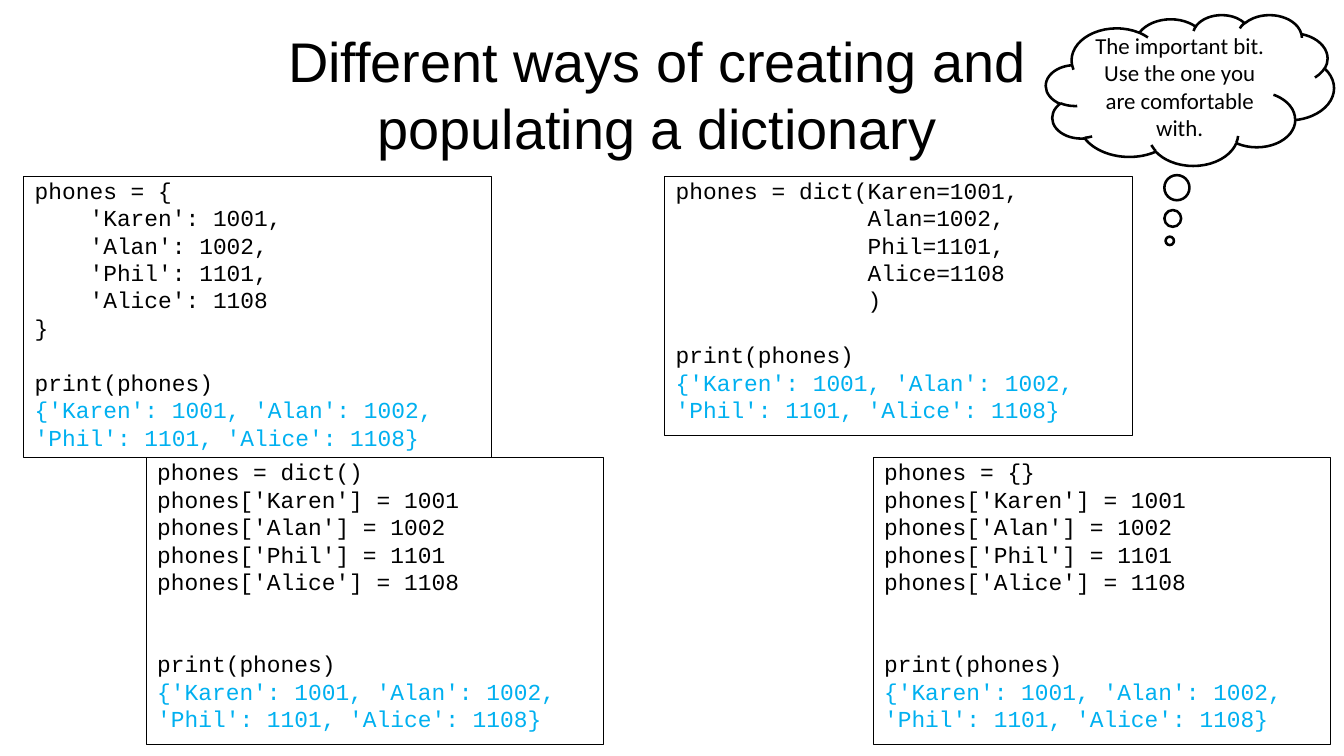
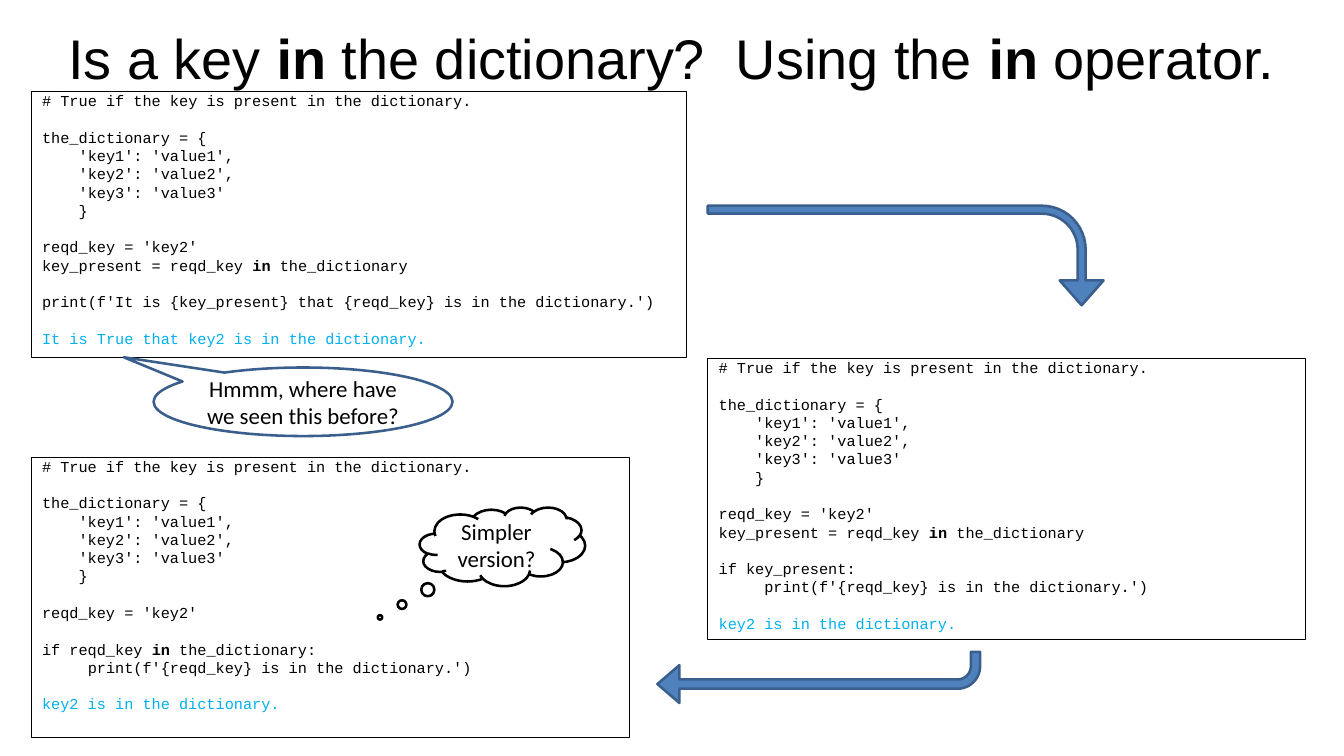
from lxml import etree
from pptx import Presentation
from pptx.dml.color import RGBColor
from pptx.enum.shapes import MSO_SHAPE
from pptx.enum.text import MSO_ANCHOR, MSO_AUTO_SIZE, PP_ALIGN
from pptx.oxml.ns import qn
from pptx.util import Inches, Pt

RECTANGLE = MSO_SHAPE.RECTANGLE
CLOUD = MSO_SHAPE.CLOUD_CALLOUT
SPEECH = MSO_SHAPE.OVAL_CALLOUT
BENT_ARROW = MSO_SHAPE.BENT_ARROW
TOP, MIDDLE = MSO_ANCHOR.TOP, MSO_ANCHOR.MIDDLE
LEFT, CENTER = PP_ALIGN.LEFT, PP_ALIGN.CENTER
NO_AUTOFIT = MSO_AUTO_SIZE.NONE

COLORS = {"text": "000000", "output": "00B0F0", "arrow": "4F81BD", "edge": "3A5F8C"}
PAGE = (0, 0, 14.7, 8.27)
LINE_PITCH = 1.2
BOLD_MARK = "**"

TITLE_FONT = {"name": "Arial", "size": Pt(44)}
CALLOUT_FONT = {"name": "Calibri", "size": Pt(18)}
CODE_NAME = "Courier New"

TITLE_FRAME = {"margin_left": 0, "margin_right": 0, "margin_top": 0, "margin_bottom": 0,
               "word_wrap": True, "auto_size": NO_AUTOFIT, "vertical_anchor": MIDDLE}
CODE_FRAME = {**TITLE_FRAME, "margin_left": Inches(0.12), "vertical_anchor": TOP}
CALLOUT_FRAME = {"word_wrap": True, "vertical_anchor": MIDDLE}

PHONES_OUTPUT = "{'Karen': 1001, 'Alan': 1002, 'Phil': 1101, 'Alice': 1108}"
PHONES_PRINT = ["", "print(phones)"]
PHONES_ASSIGNMENTS = ["phones['Karen'] = 1001", "phones['Alan'] = 1002",
                      "phones['Phil'] = 1101", "phones['Alice'] = 1108",
                      "", *PHONES_PRINT]
KEY_LOOKUP = ["# True if the key is present in the dictionary.", "",
              "the_dictionary = {",
              *[f"    'key{number}': 'value{number}'{comma}"
                for number, comma in ((1, ","), (2, ","), (3, ""))],
              "    }", "", "reqd_key = 'key2'"]
KEY_PRESENT = ["key_present = reqd_key **in **the_dictionary", ""]
KEY_PRINT = ["\tprint(f'{reqd_key} is in the dictionary.')", ""]
KEY_OUTPUT = "key2 is in the dictionary."


def apply(target, values):
    for name, value in values.items():
        setattr(target, name, value)


def place(shape, area, box):
    left, top, width, height = box
    apply(shape, {"left": Inches(area[0] + left), "top": Inches(area[1] + top),
                  "width": Inches(width), "height": Inches(height)})


def set_outline(shape, color, width):
    shape.line.color.rgb = RGBColor.from_string(COLORS[color])
    shape.line.width = Pt(width)


def add_plain_shape(slide, area, box, preset, color, width, adjustments=()):
    shape = slide.shapes.add_shape(preset, 0, 0, 0, 0)
    place(shape, area, box)
    shape.shadow.inherit = False
    shape.fill.background()
    set_outline(shape, color, width)
    for index, value in enumerate(adjustments):
        shape.adjustments[index] = value
    return shape


def write_paragraph(paragraph, text, font, alignment, color="text", gap_lines=0):
    properties = paragraph._p.get_or_add_pPr()
    properties.set("marL", "0")
    properties.set("indent", "0")
    etree.SubElement(properties, qn("a:buNone"))
    pitch = font["size"].pt * LINE_PITCH
    apply(paragraph, {"alignment": alignment, "line_spacing": Pt(pitch),
                      "space_before": Pt(pitch * gap_lines), "space_after": Pt(0)})
    for index, part in enumerate(text.split(BOLD_MARK)):
        run = paragraph.add_run()
        run.text = part
        apply(run.font, {**font, "bold": index % 2 == 1})
        run.font.color.rgb = RGBColor.from_string(COLORS[color])


def write_lines(shape, lines, font, frame, alignment, output=None):
    text_frame = shape.text_frame
    apply(text_frame, frame)
    entries = [(line, "text") for line in lines]
    if output:
        entries.append((output, "output"))
    paragraph, gap_lines = text_frame.paragraphs[0], 0
    for text, color in entries:
        if not text:
            gap_lines += 1
            continue
        paragraph = paragraph or text_frame.add_paragraph()
        write_paragraph(paragraph, text, font, alignment, color, gap_lines)
        paragraph, gap_lines = None, 0


def set_title(slide, area, box, text):
    place(slide.shapes.title, area, box)
    write_lines(slide.shapes.title, [text], TITLE_FONT, TITLE_FRAME, CENTER)


def fill_code(shape, lines, output, size):
    font = {"name": CODE_NAME, "size": Pt(size)}
    write_lines(shape, lines, font, CODE_FRAME, LEFT, output)


def set_main_code(slide, area, box, lines, output, size, width):
    shape = slide.placeholders[1]
    place(shape, area, box)
    set_outline(shape, "text", width)
    fill_code(shape, lines, output, size)


def add_code(slide, area, box, lines, output, size, width):
    shape = add_plain_shape(slide, area, box, RECTANGLE, "text", width)
    fill_code(shape, lines, output, size)


def add_callout(slide, area, box, preset, pointer, lines, color="text"):
    shape = add_plain_shape(slide, area, box, preset, color, 2, pointer)
    write_lines(shape, lines, CALLOUT_FONT, CALLOUT_FRAME, CENTER)


def add_bent_arrow(slide, area, box, rotation, adjustments):
    shape = add_plain_shape(slide, area, box, BENT_ARROW, "edge", 2, adjustments)
    shape.rotation = rotation
    shape.fill.solid()
    shape.fill.fore_color.rgb = RGBColor.from_string(COLORS["arrow"])


def build_creation_slide(slide, area):
    style = {"output": PHONES_OUTPUT, "size": 18, "width": 0.75}
    set_title(slide, area, (2.94, 0.33, 8.5, 1.38),
              "Different ways of creating and populating a dictionary")
    literal = ["phones = {", "    'Karen': 1001,", "    'Alan': 1002,",
               "    'Phil': 1101,", "    'Alice': 1108", "}", *PHONES_PRINT]
    set_main_code(slide, area, (0.26, 1.93, 5.12, 3.07), literal, **style)
    keywords = ["phones = dict(Karen=1001,", "              Alan=1002,",
                "              Phil=1101,", "              Alice=1108",
                "              )", *PHONES_PRINT]
    boxes = [
        ((1.6, 5.01, 5, 3.14), ["phones = dict()", *PHONES_ASSIGNMENTS]),
        ((7.27, 1.93, 5.12, 2.83), keywords),
        ((9.55, 5.01, 5, 3.14), ["phones = {}", *PHONES_ASSIGNMENTS]),
    ]
    for box, lines in boxes:
        add_code(slide, area, box, lines, **style)
    add_callout(slide, area, (11.44, 0.16, 3.15, 1.65), CLOUD, (-0.07, 1),
                ["The important bit.", "Use the one you are comfortable with."])


def build_operator_slide(slide, area):
    style = {"size": 12, "width": 0.25}
    set_title(slide, area, (0.73, 0.33, 13.23, 0.58),
              "Is a key **in** the dictionary?  Using the **in** operator.")
    set_main_code(slide, area, (0.34, 1, 7.17, 2.91),
                  [*KEY_LOOKUP, *KEY_PRESENT,
                   "print(f'It is {key_present} that {reqd_key} is in the dictionary.')", ""],
                  "It is True that key2 is in the dictionary.", **style)
    add_callout(slide, area, (1.68, 4.02, 3.27, 0.75), SPEECH, (-0.6, -0.65),
                ["Hmmm, where have we seen this before?"], "edge")
    boxes = [
        ((7.74, 3.92, 6.54, 3.07), [*KEY_PRESENT, "if key_present:"]),
        ((0.34, 5, 6.54, 3.07), ["", "if reqd_key **in **the_dictionary:"]),
    ]
    for box, test in boxes:
        add_code(slide, area, box, [*KEY_LOOKUP, *test, *KEY_PRINT], KEY_OUTPUT, **style)
    add_bent_arrow(slide, area, (9.36, 0.63, 1.09, 4.33), 90, (0.08, 0.22, 0.25, 0.44))
    add_bent_arrow(slide, area, (7.19, 7.13, 3.53, 0.56), 180, (0.18, 0.37, 0.43, 0.44))
    add_callout(slide, area, (4.59, 5.55, 1.81, 0.86), CLOUD, (-0.74, 0.9),
                ["Simpler version?"])


def main():
    presentation = Presentation()
    presentation.slide_width, presentation.slide_height = map(Inches, PAGE[2:])
    layout = presentation.slide_layouts[1]
    for build in (build_creation_slide, build_operator_slide):
        build(presentation.slides.add_slide(layout), PAGE)
    presentation.save("out.pptx")


if __name__ == "__main__":
    main()
